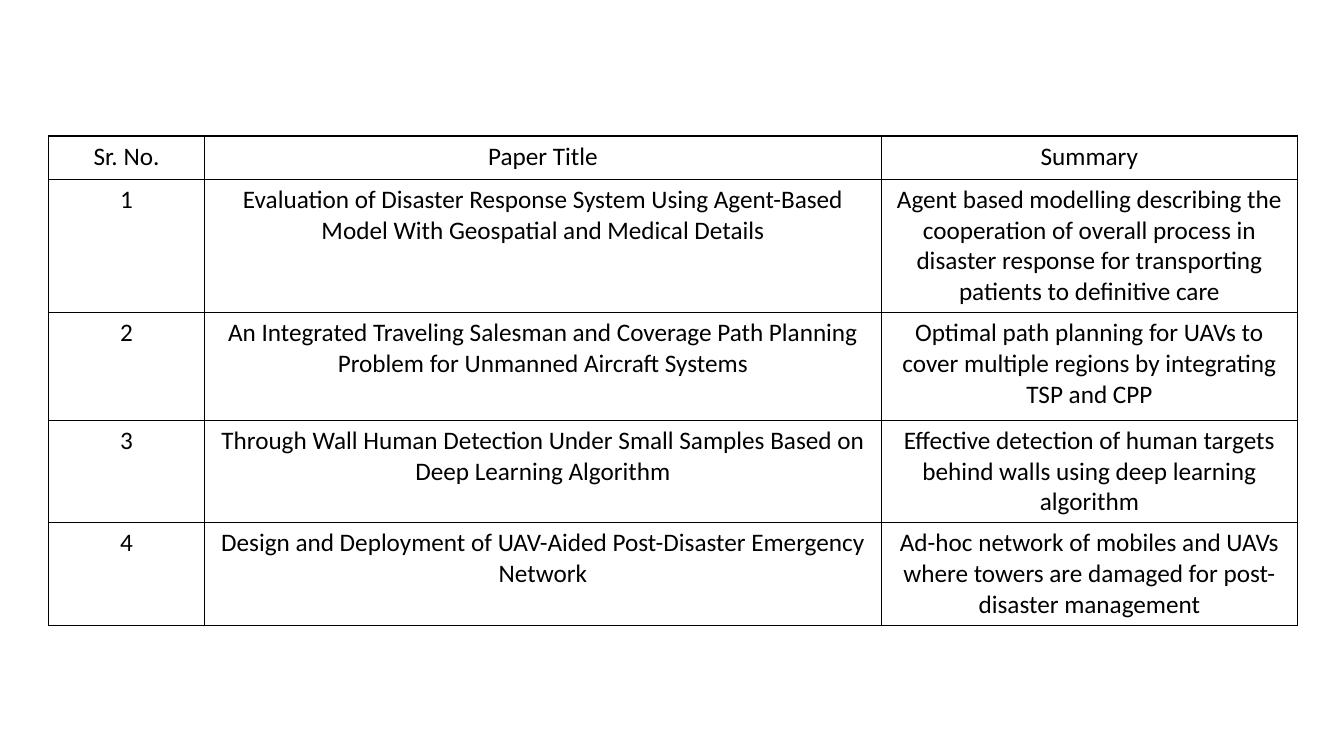
from dataclasses import dataclass

from lxml.etree import SubElement
from pptx import Presentation
from pptx.dml.color import RGBColor
from pptx.enum.text import PP_ALIGN
from pptx.oxml.ns import qn
from pptx.slide import Slide
from pptx.table import _Cell
from pptx.util import Inches, Pt

COLORS = {"text": "000000", "border": "000000"}
FONT = "Calibri"
COLUMN_WIDTHS = (1.55, 6.71, 4.13)


@dataclass(frozen=True)
class PaperRow:
    number: str
    title: str
    summary: str
    height: float


PAPER_ROWS = (
    PaperRow("Sr. No.", "Paper Title", "Summary", 0.43),
    PaperRow(
        "1",
        "Evaluation of Disaster Response System Using Agent-Based Model With Geospatial and Medical Details",
        "Agent based modelling describing the cooperation of overall process in disaster response "
        "for transporting patients to definitive care",
        1.07,
    ),
    PaperRow(
        "2",
        "An Integrated Traveling Salesman and Coverage Path Planning Problem for Unmanned Aircraft Systems",
        "Optimal path planning for UAVs to cover multiple regions by integrating TSP and CPP",
        1.07,
    ),
    PaperRow(
        "3",
        "Through Wall Human Detection Under Small Samples Based on Deep Learning Algorithm",
        "Effective detection of human targets behind walls using deep learning algorithm",
        0.75,
    ),
    PaperRow(
        "4",
        "Design and Deployment of UAV-Aided Post-Disaster Emergency Network",
        "Ad-hoc network of mobiles and UAVs where towers are damaged for post-disaster management",
        0.75,
    ),
)


def write_cell(cell: _Cell, text: str, *, size: float = 18, color: str = COLORS["text"],
               align: PP_ALIGN = PP_ALIGN.CENTER) -> None:
    para = cell.text_frame.paragraphs[0]
    para.alignment = align
    span = para.add_run()
    span.text = text
    span.font.name = FONT
    span.font.size = Pt(size)
    span.font.bold = False
    span.font.color.rgb = RGBColor.from_string(color)


def draw_borders(cell: _Cell, width: float = 1) -> None:
    properties = cell._tc.get_or_add_tcPr()
    for side in ("a:lnL", "a:lnR", "a:lnT", "a:lnB"):
        line = SubElement(properties, qn(side), w=str(Pt(width)))
        fill = SubElement(line, qn("a:solidFill"))
        SubElement(fill, qn("a:srgbClr"), val=COLORS["border"])


def add_paper_table(page: Slide, left: float, top: float) -> None:
    frame = page.shapes.add_table(
        len(PAPER_ROWS), len(COLUMN_WIDTHS), Inches(left), Inches(top),
        Inches(sum(COLUMN_WIDTHS)), Inches(sum(row.height for row in PAPER_ROWS)),
    )
    table = frame.table
    table.first_row = False
    table.horz_banding = False
    for column, width in zip(table.columns, COLUMN_WIDTHS):
        column.width = Inches(width)
    for row, paper in zip(table.rows, PAPER_ROWS):
        row.height = Inches(paper.height)
        for cell, text in zip(row.cells, (paper.number, paper.title, paper.summary)):
            write_cell(cell, text)
            draw_borders(cell)
            cell.fill.background()


def main() -> None:
    deck = Presentation()
    deck.slide_width, deck.slide_height = Inches(13.33), Inches(7.5)
    page = deck.slides.add_slide(deck.slide_layouts[6])
    add_paper_table(page, 0.48, 1.35)
    deck.save("out.pptx")


if __name__ == "__main__":
    main()
